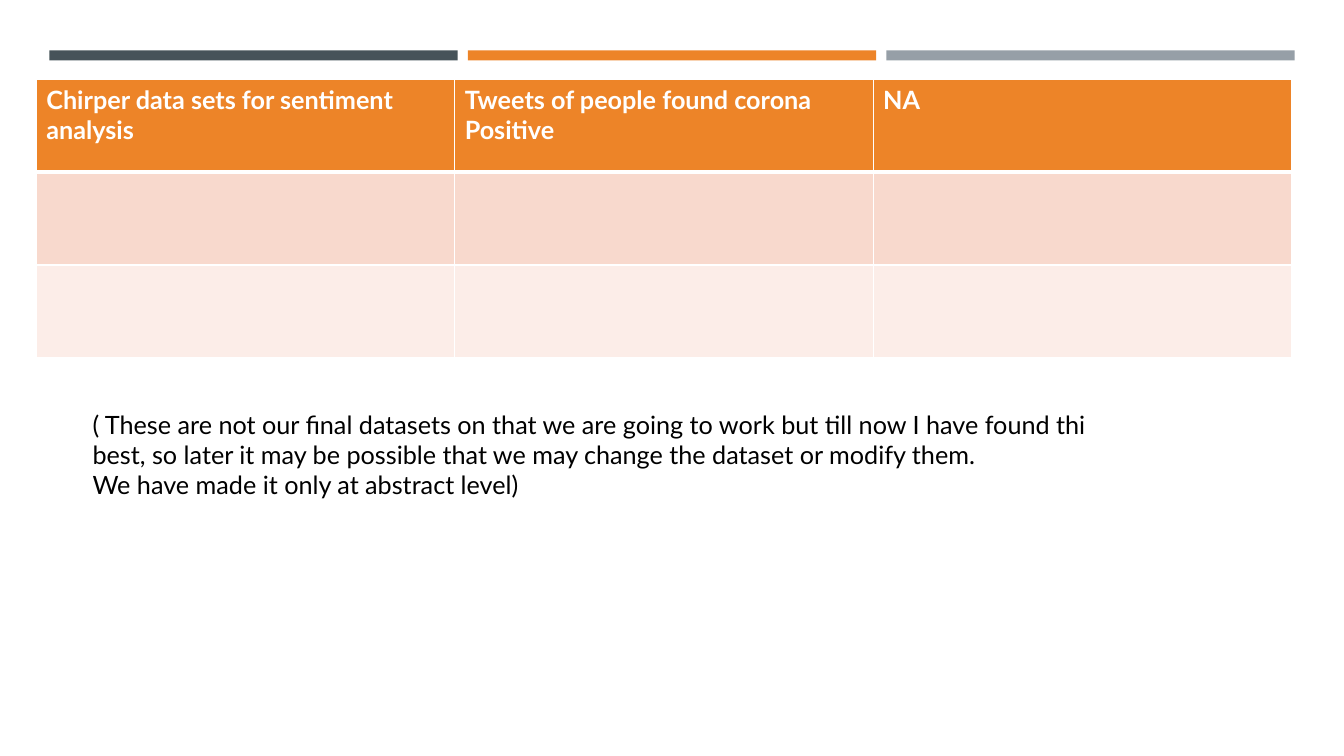
"""Build the data set slide with its accent bars, table and closing note."""
from dataclasses import dataclass

from lxml.etree import SubElement
from pptx import Presentation
from pptx.dml.color import RGBColor as RGB
from pptx.enum.shapes import MSO_SHAPE as Shape
from pptx.enum.text import MSO_AUTO_SIZE as AutoSize
from pptx.oxml.ns import qn
from pptx.util import Inches, Pt


@dataclass(frozen=True)
class Theme:
    font: str = "Lato"
    size: int = 18
    slate: str = "465359"
    orange: str = "ED8428"
    grey: str = "969FA7"
    band_dark: str = "F8D9CD"
    band_light: str = "FCEDE8"
    white: str = "FFFFFF"
    black: str = "000000"


@dataclass(frozen=True)
class Row:
    fill: str
    texts: tuple[str, str, str] = ("", "", "")
    bottom: int = 1
    top: int = 1


THEME = Theme()
COLUMN = 4.15
BAR_GAP = 0.1
ROW_HEIGHT = 0.92
BARS = (THEME.slate, THEME.orange, THEME.grey)
ROWS = (
    Row(THEME.orange, ("Chirper data sets for sentiment analysis",
                       "Tweets of people found corona Positive", "NA"), bottom=3),
    Row(THEME.band_dark, top=3),
    Row(THEME.band_light),
)
NOTE = (
    "( These are not our final datasets on that we are going to work but till now "
    "I have found thi best, so later it may be possible that we may change the "
    "dataset or modify them.",
    "We have made it only at abstract level)",
)


def style(p, color: str, bold: bool = False) -> None:
    p.font.name = THEME.font
    p.font.size = Pt(THEME.size)
    p.font.bold = bold
    p.font.color.rgb = RGB.from_string(color)


def add_bars(slide) -> None:
    for i, color in enumerate(BARS):
        sp = slide.shapes.add_shape(Shape.RECTANGLE, Inches(0.49 + i * COLUMN), Inches(0.5),
                                    Inches(COLUMN - BAR_GAP), Inches(0.1))
        sp.shadow.inherit = False
        sp.fill.solid()
        sp.fill.fore_color.rgb = RGB.from_string(color)
        sp.line.fill.background()


def set_borders(cell, row: Row) -> None:
    tc_pr = cell._tc.get_or_add_tcPr()
    widths = {"a:lnL": 1, "a:lnR": 1, "a:lnT": row.top, "a:lnB": row.bottom}
    for i, (tag, width) in enumerate(widths.items()):
        ln = SubElement(tc_pr, qn(tag), w=str(Pt(width)))
        SubElement(SubElement(ln, qn("a:solidFill")), qn("a:srgbClr"), val=THEME.white)
        tc_pr.insert(i, ln)


def add_data_table(slide) -> None:
    columns = len(ROWS[0].texts)
    table = slide.shapes.add_table(len(ROWS), columns, Inches(0.36), Inches(0.79),
                                   Inches(COLUMN * columns),
                                   Inches(ROW_HEIGHT * len(ROWS))).table
    table.horz_banding = False
    for r, row in enumerate(ROWS):
        for c, text in enumerate(row.texts):
            cell = table.cell(r, c)
            cell.fill.solid()
            cell.fill.fore_color.rgb = RGB.from_string(row.fill)
            set_borders(cell, row)
            if text:
                cell.text = text
                style(cell.text_frame.paragraphs[0], THEME.white, bold=True)


def add_note(slide) -> None:
    sp = slide.shapes.add_textbox(Inches(0.82), Inches(4.01), Inches(10.53), Inches(1.01))
    tf = sp.text_frame
    tf.word_wrap = True
    tf.auto_size = AutoSize.SHAPE_TO_FIT_TEXT
    tf.text = "\n".join(NOTE)
    for p in tf.paragraphs:
        style(p, THEME.black)


def main() -> None:
    prs = Presentation()
    prs.slide_width, prs.slide_height = Inches(13.33), Inches(7.5)
    slide = prs.slides.add_slide(prs.slide_layouts.get_by_name("Blank"))
    add_bars(slide)
    add_data_table(slide)
    add_note(slide)
    prs.save("out.pptx")


if __name__ == "__main__":
    main()
